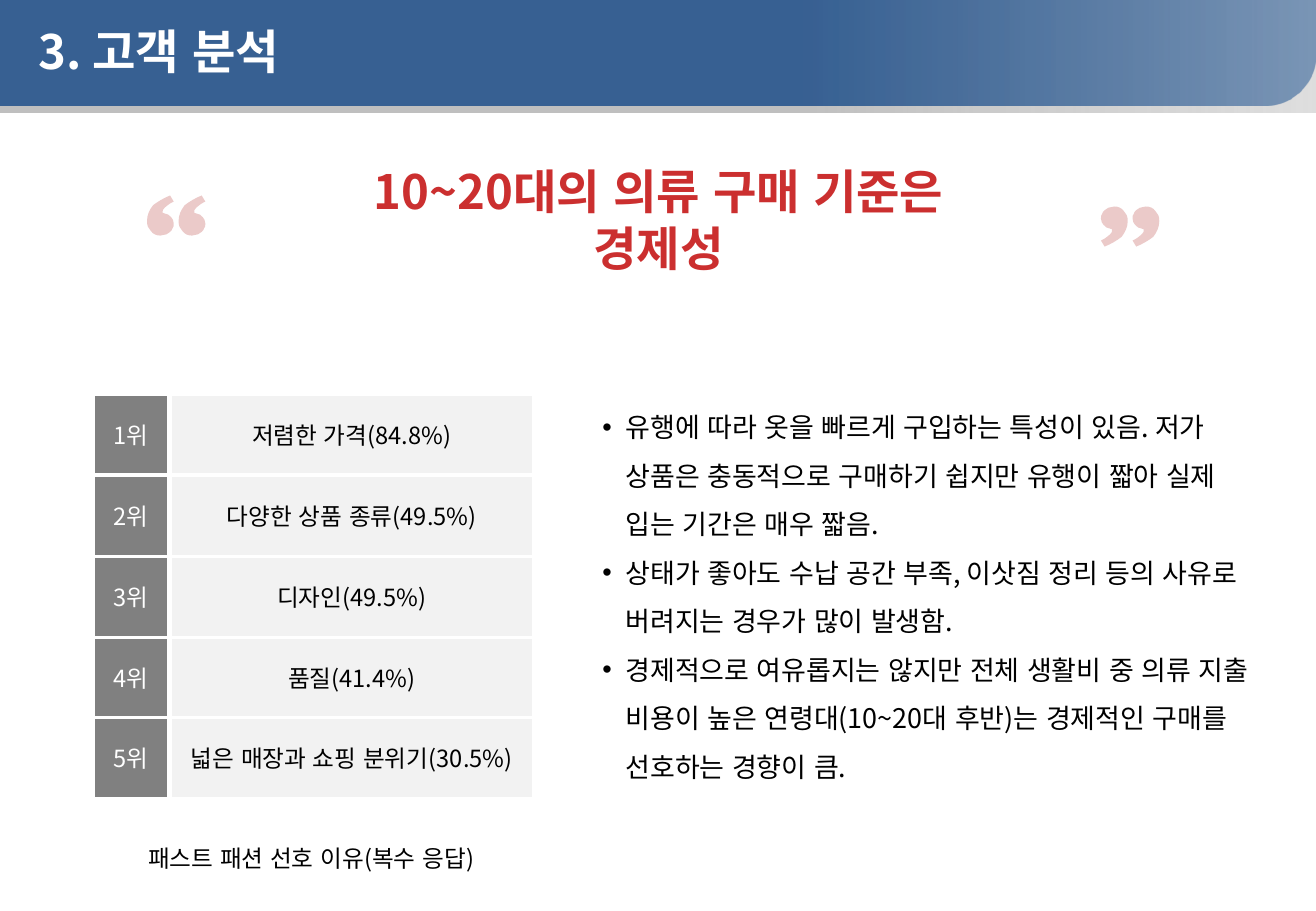
from lxml.etree import SubElement
from pptx import Presentation
from pptx.dml.color import RGBColor
from pptx.enum.lang import MSO_LANGUAGE_ID as Language
from pptx.enum.shapes import MSO_SHAPE as Shape
from pptx.enum.text import MSO_ANCHOR as Anchor, PP_ALIGN as Align
from pptx.oxml.ns import qn
from pptx.util import Emu, Pt

PX = 9144  # EMU in one px, 100 px to the inch
FONT = "Noto Sans CJK KR"

WHITE = RGBColor(0xFF, 0xFF, 0xFF)
BLACK = RGBColor(0x00, 0x00, 0x00)
SILVER = RGBColor(0xBF, 0xBF, 0xBF)
BLUE = RGBColor(0x37, 0x60, 0x92)
LIGHT_BLUE = RGBColor(0x3A, 0x67, 0x9C)
RED = RGBColor(0xCB, 0x2F, 0x2F)
QUOTE_RED = RGBColor(0xC0, 0x50, 0x4D)
GRAY = RGBColor(0x80, 0x80, 0x80)
PALE_GRAY = RGBColor(0xF2, 0xF2, 0xF2)

REASONS = [
    "저렴한 가격(84.8%)",
    "다양한 상품 종류(49.5%)",
    "디자인(49.5%)",
    "품질(41.4%)",
    "넓은 매장과 쇼핑 분위기(30.5%)",
]
FINDINGS = [
    "유행에 따라 옷을 빠르게 구입하는 특성이 있음. 저가 상품은 충동적으로 "
    "구매하기 쉽지만 유행이 짧아 실제 입는 기간은 매우 짧음.",
    "상태가 좋아도 수납 공간 부족, 이삿짐 정리 등의 사유로 버려지는 경우가 많이 발생함.",
    "경제적으로 여유롭지는 않지만 전체 생활비 중 의류 지출 비용이 높은 "
    "연령대(10~20대 후반)는 경제적인 구매를 선호하는 경향이 큼.",
]

# One comma of a quotation mark: start, straight edge, then Bezier curves
COMMA_START, COMMA_EDGE = (19, 0), (22, 5)
COMMA_CURVES = [
    ((20, 6), (18, 7), (17, 8)), ((15, 9), (14, 11), (13, 12)),
    ((12, 14), (13, 15), (15, 15)), ((17, 15), (18, 16), (20, 18)),
    ((21, 19), (22, 21), (22, 23)), ((22, 25), (22, 26), (21, 27)),
    ((21, 28), (20, 29), (19, 30)), ((18, 31), (17, 31), (16, 32)),
    ((14, 32), (13, 33), (11, 33)), ((8, 33), (5, 32), (3, 29)),
    ((1, 27), (0, 25), (0, 21)), ((0, 16), (2, 12), (5, 8)),
    ((9, 5), (14, 2), (19, 0)),
]
COMMA_SHIFTS = (0, 26)


def px(*lengths):
    return [Emu(length * PX) for length in lengths]


def apply_format(target, values):
    for name, value in values.items():
        setattr(target, name, value)


def set_alpha(color_element, percent):
    SubElement(color_element, qn("a:alpha")).set("val", str(percent * 1000))


def add_bullet(paragraph, indent):
    properties = paragraph._p.get_or_add_pPr()
    properties.set("marL", str(indent * PX))
    properties.set("indent", str(-indent * PX))
    SubElement(properties, qn("a:buFont")).set("typeface", "Arial")
    SubElement(properties, qn("a:buChar")).set("char", "•")


def write_text(shape, texts, size, color, bold=False, align=Align.LEFT,
               anchor=Anchor.MIDDLE, spacing=1.0, bullet_indent=0):
    frame = shape.text_frame
    apply_format(frame, {"word_wrap": True, "vertical_anchor": anchor})
    for index, text in enumerate(texts):
        paragraph = frame.add_paragraph() if index else frame.paragraphs[0]
        if bullet_indent:
            add_bullet(paragraph, bullet_indent)
        apply_format(paragraph, {"alignment": align, "line_spacing": spacing})
        run = paragraph.add_run()
        run.text = text
        apply_format(run.font, {"name": FONT, "size": Pt(size), "bold": bold,
                                "language_id": Language.KOREAN})
        run.font.color.rgb = color
        east_asian = SubElement(run.font._element, qn("a:ea"))
        east_asian.set("typeface", FONT)


def add_text(shapes, box, texts, size, color, **format_values):
    write_text(shapes.add_textbox(*px(*box)), texts, size, color, **format_values)


def add_box(shapes, box, fill, line=None):
    shape = shapes.add_shape(Shape.RECTANGLE, *px(*box))
    shape.shadow.inherit = False
    shape.fill.solid()
    shape.fill.fore_color.rgb = fill
    if line is None:
        shape.line.fill.background()
    else:
        shape.line.color.rgb = line
        shape.line.width = Pt(2)
    return shape


def add_band(shapes, kind, height, start_color, end_color, end_alpha):
    band = shapes.add_shape(kind, *px(0, 0, 1083, height))
    band.shadow.inherit = False
    band.line.fill.background()
    band.fill.gradient()
    band.fill.gradient_angle = 0
    colors = (start_color, end_color)
    for stop, position, color in zip(band.fill.gradient_stops, (0.6, 1), colors):
        stop.position = position
        stop.color.rgb = color
    set_alpha(band._element.spPr.findall(".//" + qn("a:srgbClr"))[-1], end_alpha)
    return band


def bend_segments(quote):
    """Turn the straight segments of the commas into Bezier curves."""
    segments = quote._element.spPr.findall(".//" + qn("a:lnTo"))
    plan = [(shift, curve) for shift in COMMA_SHIFTS
            for curve in [None, *COMMA_CURVES]]
    for segment, (shift, curve) in zip(segments, plan):
        if curve is None:
            continue
        segment.tag = qn("a:cubicBezTo")
        for index, (x, y) in enumerate(curve[:2]):
            point = SubElement(segment, qn("a:pt"))
            point.set("x", str((x + shift) * PX))
            point.set("y", str(y * PX))
            segment.insert(index, point)


def add_quote(shapes, left, top, rotation=0):
    corners = [COMMA_START, COMMA_EDGE, *(curve[-1] for curve in COMMA_CURVES)]
    first, second = [[(left + shift + x, top + y) for x, y in corners]
                     for shift in COMMA_SHIFTS]
    builder = shapes.build_freeform(*first[0], scale=PX)
    builder.add_line_segments(first[1:])
    builder.move_to(*second[0])
    builder.add_line_segments(second[1:])
    quote = builder.convert_to_shape()
    outline = quote._element.spPr.find(".//" + qn("a:path"))
    for name, length in (("w", 48), ("h", 33)):
        outline.set(name, str(length * PX))
    for point in outline.iter(qn("a:pt")):
        for axis in "xy":
            point.set(axis, str(int(point.get(axis)) * PX))
    bend_segments(quote)
    quote.shadow.inherit = False
    quote.rotation = rotation
    quote.line.fill.background()
    quote.fill.solid()
    quote.fill.fore_color.rgb = QUOTE_RED
    set_alpha(quote._element.spPr.find(".//" + qn("a:srgbClr")), 30)


def add_cell(shapes, box, text, fill, color):
    cell = add_box(shapes, box, fill, line=WHITE)
    apply_format(cell.text_frame, dict(zip(
        ("margin_left", "margin_top", "margin_right", "margin_bottom"),
        px(8, 4, 8, 4))))
    write_text(cell, [text], 14, color, align=Align.CENTER)


def main():
    presentation = Presentation()
    presentation.slide_width, presentation.slide_height = px(1083, 750)
    slide = presentation.slides.add_slide(presentation.slide_layouts[6])
    shapes = slide.shapes

    # Header
    add_band(shapes, Shape.RECTANGLE, 93, SILVER, SILVER, 50)
    header = add_band(shapes, Shape.ROUND_1_RECTANGLE, 87, BLUE, LIGHT_BLUE, 60)
    header.adjustments[0] = 0.5
    header._element.spPr.find(qn("a:xfrm")).set("flipV", "1")
    add_text(shapes, (22, 16, 937, 52), ["3. 고객 분석"], 28, WHITE, bold=True)

    # Headline between quotation marks
    headline = shapes.add_group_shape().shapes
    add_text(headline, (245, 152, 594, 57), ["10~20대의 의류 구매 기준은 경제성"],
             28, RED, bold=True, align=Align.CENTER)
    add_quote(headline, 121, 161)
    add_quote(headline, 906, 170, rotation=180)

    # Ranking of reasons
    for row, reason in enumerate(REASONS):
        top = 325 + row * 200 // 3
        add_cell(shapes, (77, top, 62, 67), f"{row + 1}위", GRAY, WHITE)
        add_cell(shapes, (140, top, 299, 67), reason, PALE_GRAY, BLACK)

    # Findings
    add_text(shapes, (486, 320, 567, 333), FINDINGS, 16, BLACK,
             anchor=Anchor.TOP, spacing=1.5, bullet_indent=19)

    # Ranking caption
    caption = add_box(shapes, (69, 685, 374, 38), WHITE)
    write_text(caption, ["패스트 패션 선호 이유(복수 응답)"], 14, BLACK,
               align=Align.CENTER, anchor=Anchor.TOP, spacing=1.2)

    presentation.save("out.pptx")


if __name__ == "__main__":
    main()
